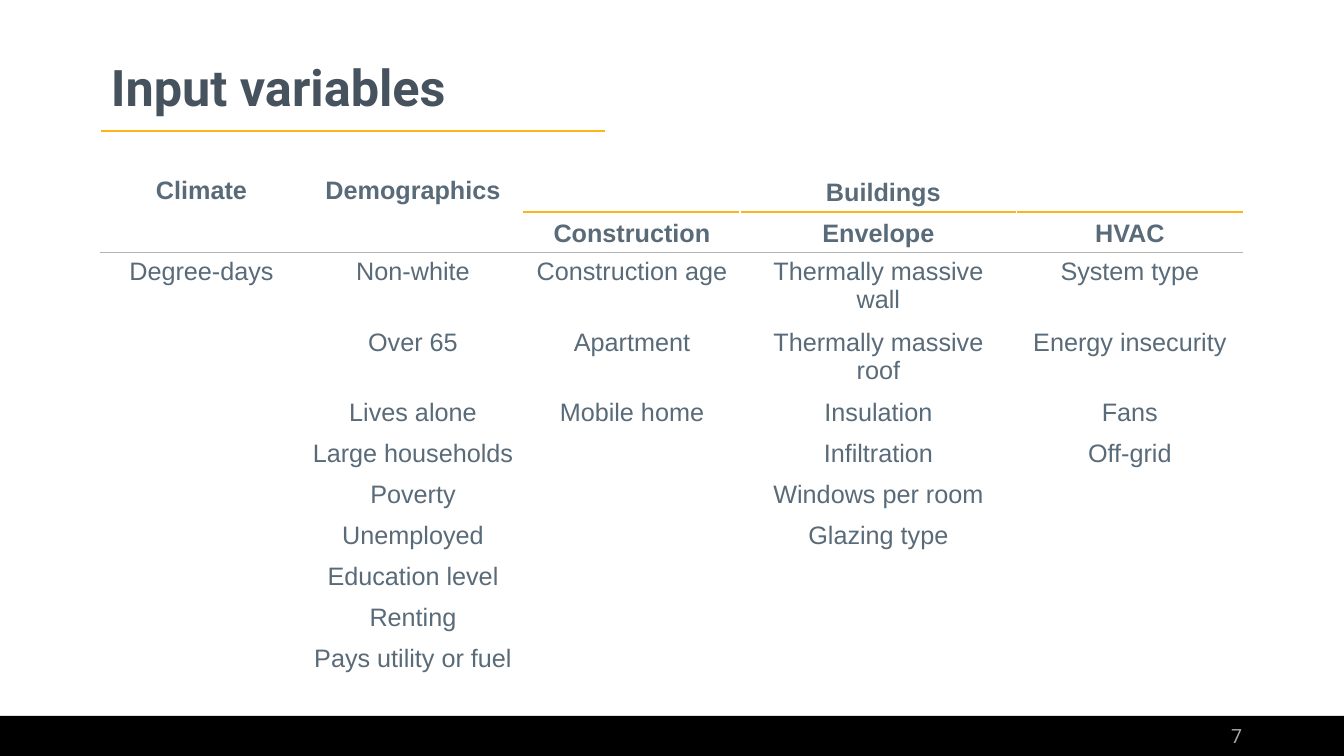
from lxml.etree import SubElement
from pptx import Presentation
from pptx.dml.color import RGBColor
from pptx.enum.shapes import MSO_CONNECTOR, MSO_SHAPE
from pptx.enum.text import MSO_ANCHOR, PP_ALIGN
from pptx.oxml import parse_xml
from pptx.oxml.ns import nsdecls, qn
from pptx.util import Emu, Pt

TITLE = "Input variables"
PAGE_NUMBER = "7"
GROUP_HEADERS = ["Climate", "Demographics", "Buildings"]
BUILDING_HEADERS = ["Construction", "Envelope", "HVAC"]
VARIABLES = [
    ["Degree-days"],
    ["Non-white", "Over 65", "Lives alone", "Large households", "Poverty",
     "Unemployed", "Education level", "Renting", "Pays utility or fuel"],
    ["Construction age", "Apartment", "Mobile home"],
    ["Thermally massive wall", "Thermally massive roof", "Insulation",
     "Infiltration", "Windows per room", "Glazing type"],
    ["System type", "Energy insecurity", "Fans", "Off-grid"],
]
COLORS = {
    "bar": "000000",
    "accent": "FDB515",
    "rule": "B2B2B2",
    "title": "46535E",
    "body": "596A78",
    "number": "A6A6A6",
}

SLIDE_WIDTH, SLIDE_HEIGHT = 1344, 756
LEFT = 101
BAR_TOP, BAR_HEIGHT = 716, 40
COLUMN_WIDTHS = [201, 222, 216, 277, 226]
HEADER_HEIGHTS = [38, 35]
ROW_HEIGHT = 41
HEADER_ROWS = len(HEADER_HEIGHTS)
FIRST_BUILDING_COLUMN = GROUP_HEADERS.index("Buildings")


def px(length):
    return Emu(round(length * 914400 / 100.8))


def color(name):
    return RGBColor.from_string(COLORS[name])


def style(paragraph, text, size, font_name, color_name, bold, alignment):
    paragraph.text = text
    paragraph.alignment = alignment
    font = paragraph.font
    font.size, font.name, font.bold = Pt(size), font_name, bold
    font.color.rgb = color(color_name)


def add_text(slide, box, *text_style):
    frame = slide.shapes.add_textbox(*map(px, box)).text_frame
    frame.word_wrap = True
    frame.vertical_anchor = MSO_ANCHOR.MIDDLE
    style(frame.paragraphs[0], *text_style)
    return frame.paragraphs[0]


def add_border(cell, tag, color_name, width):
    """Put a border before the cell's fill; add lnB before lnT to keep schema order."""
    border = parse_xml(
        f'<a:{tag} {nsdecls("a")} w="{Pt(width)}"><a:solidFill>'
        f'<a:srgbClr val="{COLORS[color_name]}"/></a:solidFill></a:{tag}>')
    cell._tc.get_or_add_tcPr().insert(0, border)


def add_frame(slide):
    bar = slide.shapes.add_shape(
        MSO_SHAPE.RECTANGLE, 0, px(BAR_TOP), px(SLIDE_WIDTH), px(BAR_HEIGHT))
    bar.shadow.inherit = False
    bar.fill.solid()
    bar.fill.fore_color.rgb = color("bar")
    bar.line.fill.background()

    underline = slide.shapes.add_connector(
        MSO_CONNECTOR.STRAIGHT, px(LEFT), px(131), px(605), px(131))
    underline.line.color.rgb = color("accent")
    underline.line.width = Pt(1)
    SubElement(underline._element.spPr, qn("a:effectLst"))

    title = add_text(slide, (LEFT, 50, 1142, 81),
                     TITLE, 36, "Roboto", "title", True, PP_ALIGN.LEFT)
    title.line_spacing = 0.9
    add_text(slide, (950, BAR_TOP, 302, BAR_HEIGHT),
             PAGE_NUMBER, 14, "Roboto", "number", False, PP_ALIGN.RIGHT)


def add_variable_table(slide):
    heights = HEADER_HEIGHTS + [ROW_HEIGHT] * max(map(len, VARIABLES))
    last_column = len(COLUMN_WIDTHS) - 1
    table = slide.shapes.add_table(
        len(heights), len(COLUMN_WIDTHS), px(LEFT), px(172),
        px(sum(COLUMN_WIDTHS)), px(sum(heights))).table
    table.first_row = table.horz_banding = False
    for column, width in zip(table.columns, COLUMN_WIDTHS):
        column.width = px(width)
    for row, height in zip(table.rows, heights):
        row.height = px(height)

    texts = {(0, column): text for column, text in enumerate(GROUP_HEADERS)}
    for column, text in enumerate(BUILDING_HEADERS, FIRST_BUILDING_COLUMN):
        texts[1, column] = text
    for column, names in enumerate(VARIABLES):
        for row, text in enumerate(names, HEADER_ROWS):
            texts[row, column] = text

    for row in range(len(heights)):
        for column in range(len(COLUMN_WIDTHS)):
            cell = table.cell(row, column)
            cell.fill.background()
            in_header = row < HEADER_ROWS
            if in_header and column >= FIRST_BUILDING_COLUMN:
                cell.vertical_anchor = MSO_ANCHOR.BOTTOM
            style(cell.text_frame.paragraphs[0], texts.get((row, column), ""),
                  18, "Arial", "body", in_header, PP_ALIGN.CENTER)

    for column in range(len(COLUMN_WIDTHS)):
        is_building = column >= FIRST_BUILDING_COLUMN
        add_border(table.cell(1, column), "lnB", "rule", 1)
        add_border(table.cell(2, column), "lnT", "rule", 1)
        if is_building:
            add_border(table.cell(0, column), "lnB", "accent", 1.5)
            add_border(table.cell(1, column), "lnT", "accent", 1.5)
        else:
            add_border(table.cell(0, column), "lnB", "rule", 1)
            table.cell(0, column).merge(table.cell(1, column))
    table.cell(0, FIRST_BUILDING_COLUMN).merge(table.cell(0, last_column))


def main():
    presentation = Presentation()
    presentation.slide_width = px(SLIDE_WIDTH)
    presentation.slide_height = px(SLIDE_HEIGHT)
    slide = presentation.slides.add_slide(presentation.slide_layouts[6])
    add_frame(slide)
    add_variable_table(slide)
    presentation.save("out.pptx")


if __name__ == "__main__":
    main()
